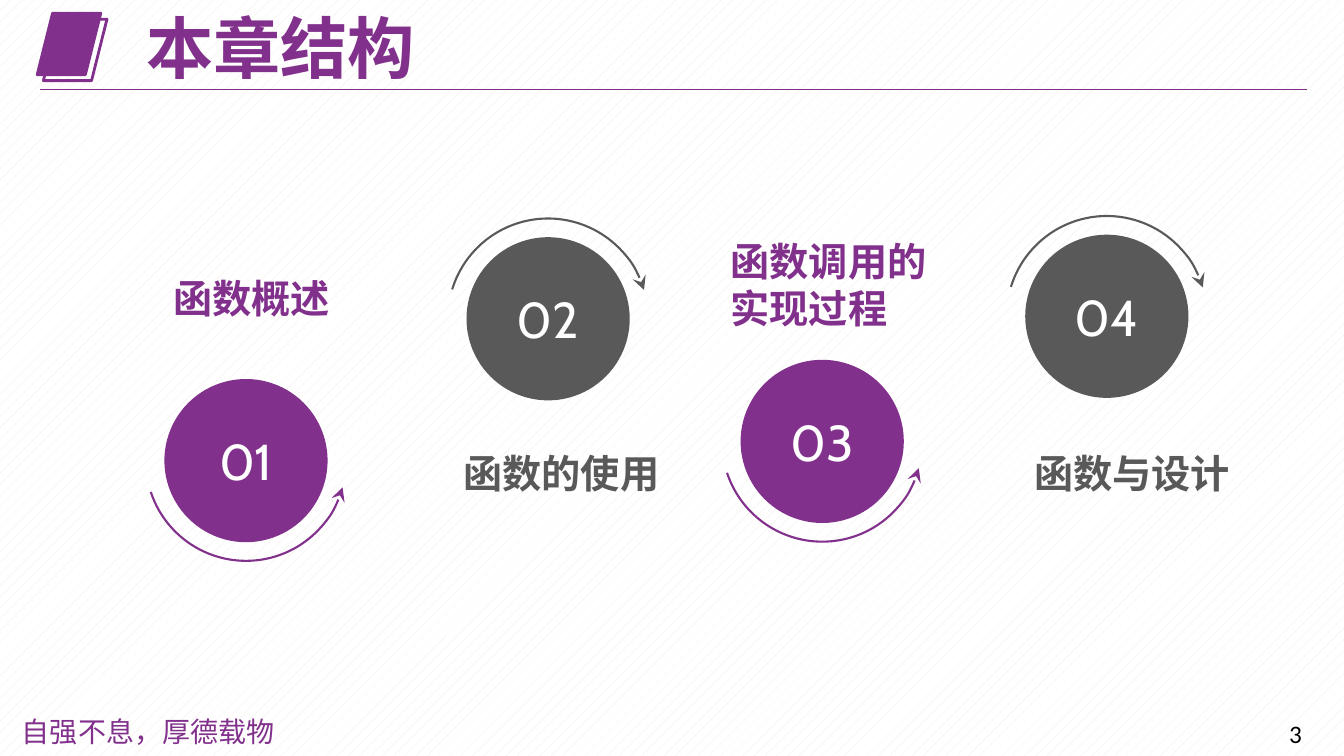
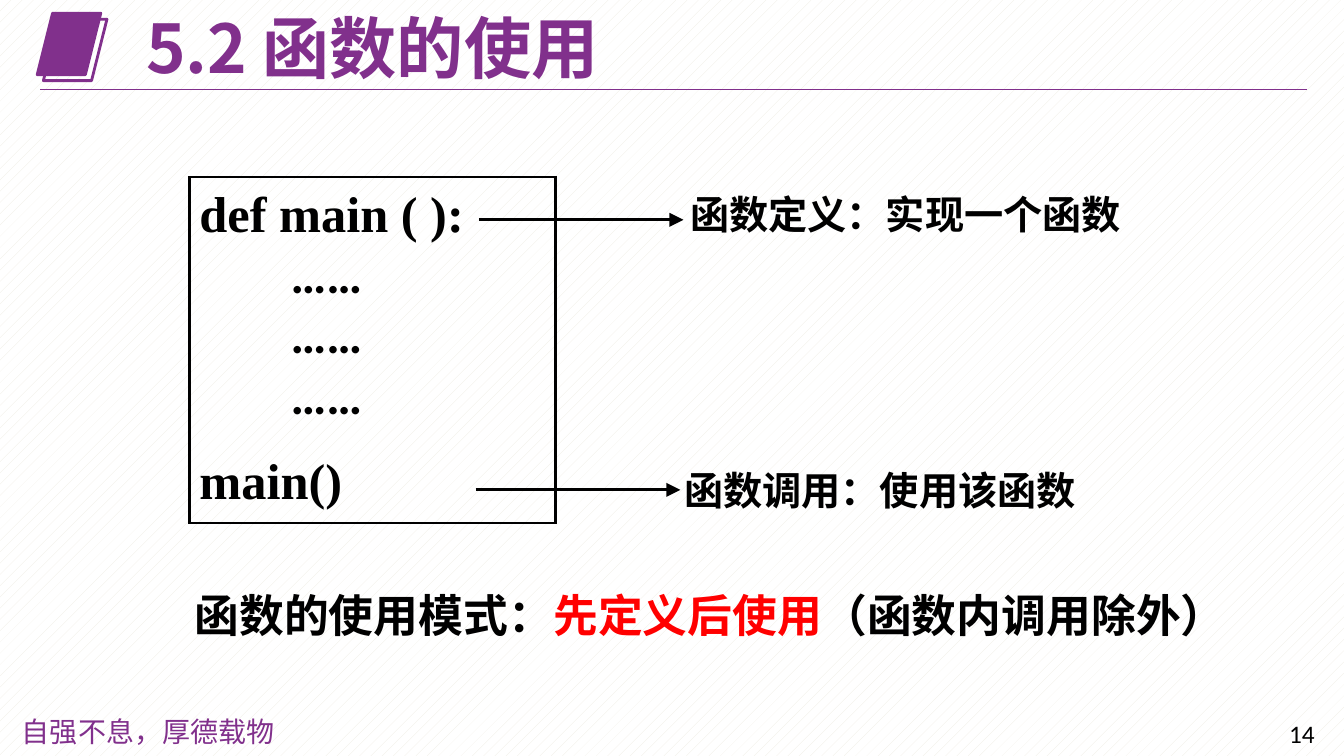
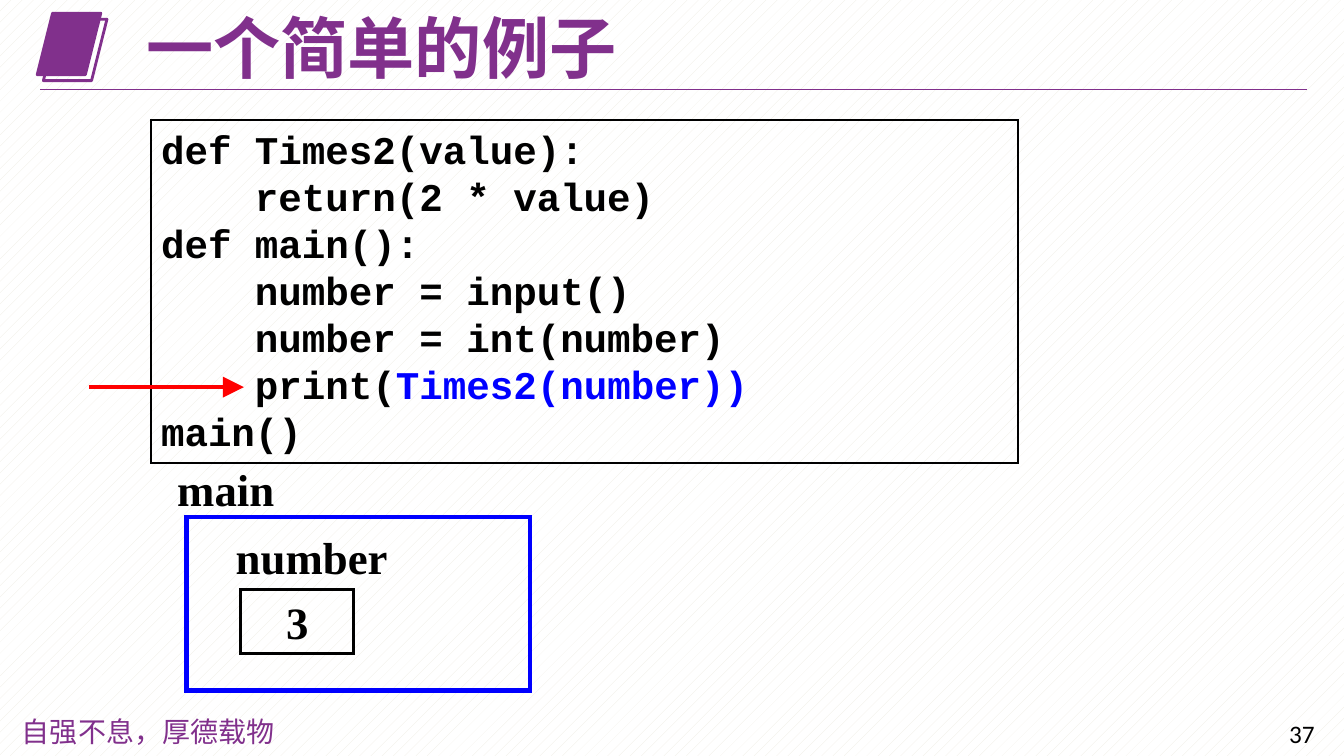
import pptx
import pptx.dml.color
import pptx.enum.dml
import pptx.enum.shapes
import pptx.enum.text
import pptx.oxml.ns
import pptx.util
from lxml import etree

Pt = pptx.util.Pt
SHAPE = pptx.enum.shapes.MSO_SHAPE
ANCHOR = pptx.enum.text.MSO_ANCHOR
ALIGN = pptx.enum.text.PP_ALIGN
qn = pptx.oxml.ns.qn

PURPLE, GRAY, BLACK, WHITE = "81308C", "595959", "000000", "FFFFFF"
RED, BLUE = "FF0000", "0000FF"
SANS = "Noto Sans CJK SC"

TITLE = {"name": SANS, "size": 48, "bold": True, "color": PURPLE, "ratio": 1.06}
LABEL = {"name": SANS, "size": 28, "bold": True, "color": PURPLE}
NUMBER = {"name": "Cabin", "size": 36, "bold": False, "color": WHITE}
MOTTO = {"name": "Noto Sans CJK JP", "size": 20, "bold": False, "color": PURPLE}
PAGE_NUMBER = {"name": "Calibri", "size": 18, "bold": False, "color": BLACK}
SERIF = {"name": "Times New Roman", "size": 32, "bold": True, "color": BLACK}
CALLOUT = SERIF | {"size": 28, "asian": SANS}
SUMMARY = LABEL | {"size": 32, "color": BLACK}
OUTLINE_CODE = SERIF | {"size": 36}
MONO_CODE = {"name": "Courier New", "size": 28, "bold": True, "color": BLACK}


def rgb(value):
    """Turn a hex string into a colour."""
    return pptx.dml.color.RGBColor.from_string(value)


def set_attributes(target, values):
    """Set each named attribute of an object."""
    for name, value in values.items():
        setattr(target, name, value)


def add_span(para, text, style):
    """Add one formatted run to a paragraph."""
    span = para.add_run()
    span.text = text
    values = {"size": Pt(style["size"]), "bold": style["bold"], "name": style["name"]}
    set_attributes(span.font, values)
    span.font.color.rgb = rgb(style["color"])
    asian = etree.SubElement(span.font._element, qn("a:ea"))
    asian.set("typeface", style.get("asian", style["name"]))


def write(box, paragraphs, style, align=ALIGN.LEFT, anchor=ANCHOR.TOP, last_gap=0):
    """Fill a shape with paragraphs, each a list of (text, style changes)."""
    frame = box.text_frame
    set_attributes(frame, {
        "word_wrap": True, "auto_size": pptx.enum.text.MSO_AUTO_SIZE.NONE,
        "vertical_anchor": anchor, "margin_left": Pt(7.2), "margin_right": Pt(7.2),
        "margin_top": Pt(3.6), "margin_bottom": Pt(3.6)})
    for index, spans in enumerate(paragraphs):
        para = frame.add_paragraph() if index else frame.paragraphs[0]
        is_last = 0 < index == len(paragraphs) - 1
        set_attributes(para, {
            "alignment": align,
            "line_spacing": Pt(style["size"] * style.get("ratio", 1.2)),
            "space_before": Pt(last_gap if is_last else 0)})
        for text, changes in spans:
            add_span(para, text, style | changes)


def plain(*lines):
    """Make single-run paragraphs out of lines of text."""
    return [[(line, {})] for line in lines]


def add_text(page, place, text, style):
    """Add a text box holding one line of text."""
    write(page.shapes.add_textbox(*map(Pt, place)), plain(text), style)


def add_box(page, kind, place, fill=None, line=None, width=1.5):
    """Add a preset shape with optional fill and outline."""
    box = page.shapes.add_shape(kind, *map(Pt, place))
    box.shadow.inherit = False
    if fill:
        box.fill.solid()
        box.fill.fore_color.rgb = rgb(fill)
    else:
        box.fill.background()
    if line:
        box.line.color.rgb = rgb(line)
        box.line.width = Pt(width)
    else:
        box.line.fill.background()
    if kind == SHAPE.RECTANGLE:
        etree.SubElement(box.line._get_or_add_ln(), qn("a:miter")).set("lim", "800000")
    return box


def add_arrowhead(shape, end, kind):
    """Put a large arrowhead on the headEnd or tailEnd of a line."""
    head = etree.SubElement(shape.line._get_or_add_ln(), qn("a:" + end))
    for name, value in {"type": kind, "w": "lg", "len": "lg"}.items():
        head.set(name, value)


def add_line(page, left, right, y, color, width, arrow=False):
    """Draw a horizontal line, with an arrowhead at its right end if wanted."""
    straight = pptx.enum.shapes.MSO_CONNECTOR.STRAIGHT
    line = page.shapes.add_connector(straight, Pt(left), Pt(y), Pt(right), Pt(y))
    line.line.color.rgb = rgb(color)
    line.line.width = Pt(width)
    if arrow:
        add_arrowhead(line, "tailEnd", "triangle")
    etree.SubElement(line.element.spPr, qn("a:effectLst"))


def add_page(deck, title, number):
    """Add a slide with the shared title, emblem, rule and footer."""
    page = deck.slides.add_slide(deck.slide_layouts[5])
    place = {"left": Pt(97.2), "top": Pt(7.9), "width": Pt(570), "height": Pt(54.7)}
    set_attributes(page.shapes.title, place)
    write(page.shapes.title, plain(title), TITLE)
    add_box(page, SHAPE.PARALLELOGRAM, (26.6, 9.4, 45.4, 43.9), PURPLE, PURPLE, 2)
    add_box(page, SHAPE.PARALLELOGRAM, (31, 13.7, 45.4, 43.9), None, PURPLE, 2)
    add_line(page, 28.8, 933.8, 64.1, PURPLE, 0.75)
    add_text(page, (8.6, 506.9, 200.2, 31.7), "自强不息，厚德载物", MOTTO)
    add_text(page, (913.7, 509.8, 43.9, 28.8), str(number), PAGE_NUMBER)
    return page


def add_step(page, number, left, top, color, above):
    """Draw a numbered circle with a curved arrow above or below it."""
    size, gap = 116.6, 13.3
    circle = add_box(page, SHAPE.OVAL, (left, top, size, size), color)
    write(circle, plain(f"{number:02}"), NUMBER, ALIGN.CENTER, ANCHOR.MIDDLE)
    arc_size = size + 2 * gap
    arc = add_box(page, SHAPE.ARC, (left - gap, top - gap, arc_size, arc_size), None, color)
    arc.adjustments[0], arc.adjustments[1] = 145.86, 17.63
    arc.rotation = 46.4 if above else 132.4
    if above:
        arc.element.spPr.get_or_add_xfrm().set("flipH", "1")
    add_arrowhead(arc, "headEnd", "stealth")


def build_structure(deck):
    """Build the chapter structure slide."""
    page = add_page(deck, "本章结构", 3)
    steps = [
        ("函数概述", (117.4, 270.7), (116.6, 192.2, 146.9, 54)),
        ("函数的使用", (333.2, 169.4), (324, 317.5, 181.4, 42.5)),
        ("函数调用的实现过程", (529, 257), (514.8, 166.3, 158, 78.5)),
        ("函数与设计", (732.3, 167.6), (731.5, 317.5, 181.4, 42.5)),
    ]
    for number, (label, corner, place) in enumerate(steps, 1):
        above = number % 2 == 0
        color = GRAY if above else PURPLE
        add_step(page, number, *corner, color, above)
        add_text(page, place, label, LABEL | {"color": color})


def build_usage(deck):
    """Build the slide on defining and calling a function."""
    page = add_page(deck, "5.2 函数的使用", 14)
    code = add_box(page, SHAPE.RECTANGLE, (135.4, 126.7, 261.4, 247), None, BLACK)
    dots = [[("        ……", {"name": "Calibri"})]] * 3
    write(code, plain("def main ( ):") + dots + plain("main()"), OUTLINE_CODE, last_gap=18)
    callouts = [
        ("函数定义：实现一个函数", 342, 157, (486, 132.5, 330, 41)),
        ("函数调用：使用该函数", 339.8, 349.9, (481.7, 329.8, 300, 41)),
    ]
    for text, left, y, place in callouts:
        add_line(page, left, left + 146.2, y, BLACK, 2, arrow=True)
        add_text(page, place, text, CALLOUT)
    summary = page.shapes.add_textbox(*map(Pt, (131.8, 416.2, 770, 46)))
    spans = [("函数的使用模式：", {}), ("先定义后使用", {"color": RED}), ("（函数内调用除外）", {})]
    write(summary, [spans], SUMMARY)


def build_example(deck):
    """Build the code example slide with its memory diagram."""
    page = add_page(deck, "一个简单的例子", 37)
    code = add_box(page, SHAPE.RECTANGLE, (108, 85.7, 619.2, 244.8), None, BLACK)
    lines = plain(
        "def Times2(value):", "    return(2 * value)", "def main():",
        "    number = input()", "    number = int(number)")
    lines.append([("    print(", {}), ("Times2(number))", {"color": BLUE})])
    write(code, lines + plain("main()"), MONO_CODE)
    add_line(page, 63.4, 174.2, 276.5, RED, 3, arrow=True)
    add_box(page, SHAPE.RECTANGLE, (133.2, 369.4, 245.5, 123.8), None, BLUE, 3)
    add_text(page, (119.5, 326.2, 84.2, 46), "main", SERIF)
    add_text(page, (161.3, 375.1, 123.8, 46), "number", SERIF)
    cell = add_box(page, SHAPE.RECTANGLE, (172.1, 421.2, 80.6, 45.4), None, BLACK, 2.25)
    write(cell, plain("3"), SERIF, ALIGN.CENTER, ANCHOR.MIDDLE)


def main():
    """Build and save the deck."""
    deck = pptx.Presentation()
    set_attributes(deck, {"slide_width": Pt(960), "slide_height": Pt(540)})
    fill = deck.slide_master.background.fill
    fill.patterned()
    fill.pattern = pptx.enum.dml.MSO_PATTERN.PERCENT_10
    fill.fore_color.rgb = rgb("EEECE1")
    fill.back_color.rgb = rgb(WHITE)
    build_structure(deck)
    build_usage(deck)
    build_example(deck)
    deck.save("out.pptx")


if __name__ == "__main__":
    main()
